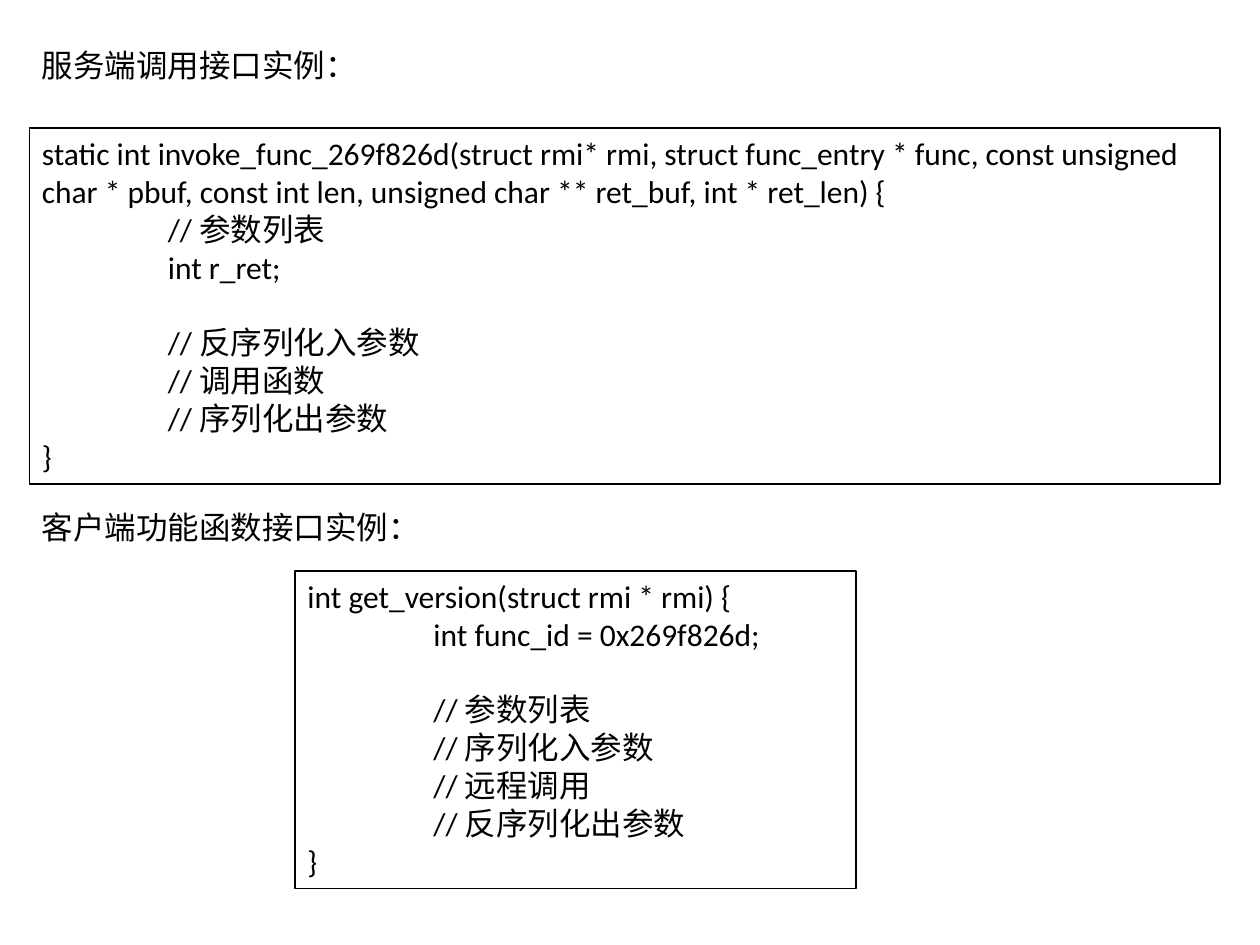
"""Build a slide with server and client interface code samples."""
from pptx import Presentation
from pptx.dml.color import RGBColor
from pptx.enum import shapes, text
from pptx.util import Pt

HUES = {"ink": "000000"}
INK = RGBColor.from_string(HUES["ink"])
SIZE = Pt(18)
GAP = Pt(21.6)
TAB = Pt(72)
LEFT = 16.8

HEADS = [
    ("服务端调用接口实例：", 22.6, 320.4),
    ("客户端功能函数接口实例：", 286.6, 230.4),
]
CODES = [
    ((LEFT, 73.1, 680.4, 203.6), [
        ["static int invoke_func_269f826d(struct rmi* rmi, struct func_entry * func, "
         "const unsigned char * pbuf, const int len, unsigned char ** ret_buf, "
         "int * ret_len) {",
         "\t// 参数列表",
         "\tint r_ret;"],
        ["\t// 反序列化入参数",
         "\t// 调用函数",
         "\t// 序列化出参数",
         "}"],
    ]),
    ((168.6, 326.2, 320.4, 181.6), [
        ["int get_version(struct rmi * rmi) {",
         "\tint func_id = 0x269f826d;"],
        ["\t// 参数列表",
         "\t// 序列化入参数",
         "\t// 远程调用",
         "\t// 反序列化出参数",
         "}"],
    ]),
]


def write(para, words):
    para.alignment = text.PP_ALIGN.LEFT
    para._p.get_or_add_pPr().set("defTabSz", str(TAB))
    run = para.add_run()
    run.text = words
    run.font.name = "Calibri"
    run.font.size = SIZE
    run.font.color.rgb = INK


deck = Presentation()
deck.slide_width, deck.slide_height = Pt(720), Pt(540)
slide = deck.slides.add_slide(deck.slide_layouts[6])

for words, top, width in HEADS:
    head = slide.shapes.add_textbox(Pt(LEFT), Pt(top), Pt(width), Pt(28.8))
    head.text_frame.word_wrap = True
    write(head.text_frame.paragraphs[0], words)

for place, blocks in CODES:
    box = slide.shapes.add_shape(shapes.MSO_SHAPE.RECTANGLE, *map(Pt, place))
    box.shadow.inherit = False
    box.fill.background()
    box.line.color.rgb = INK
    box.line.width = Pt(1)
    frame = box.text_frame
    frame.word_wrap = True
    frame.vertical_anchor = text.MSO_ANCHOR.TOP
    for b, block in enumerate(blocks):
        for n, line in enumerate(block):
            para = frame.add_paragraph() if b or n else frame.paragraphs[0]
            if b and not n:
                para.space_before = GAP
            write(para, line)

deck.save("out.pptx")
